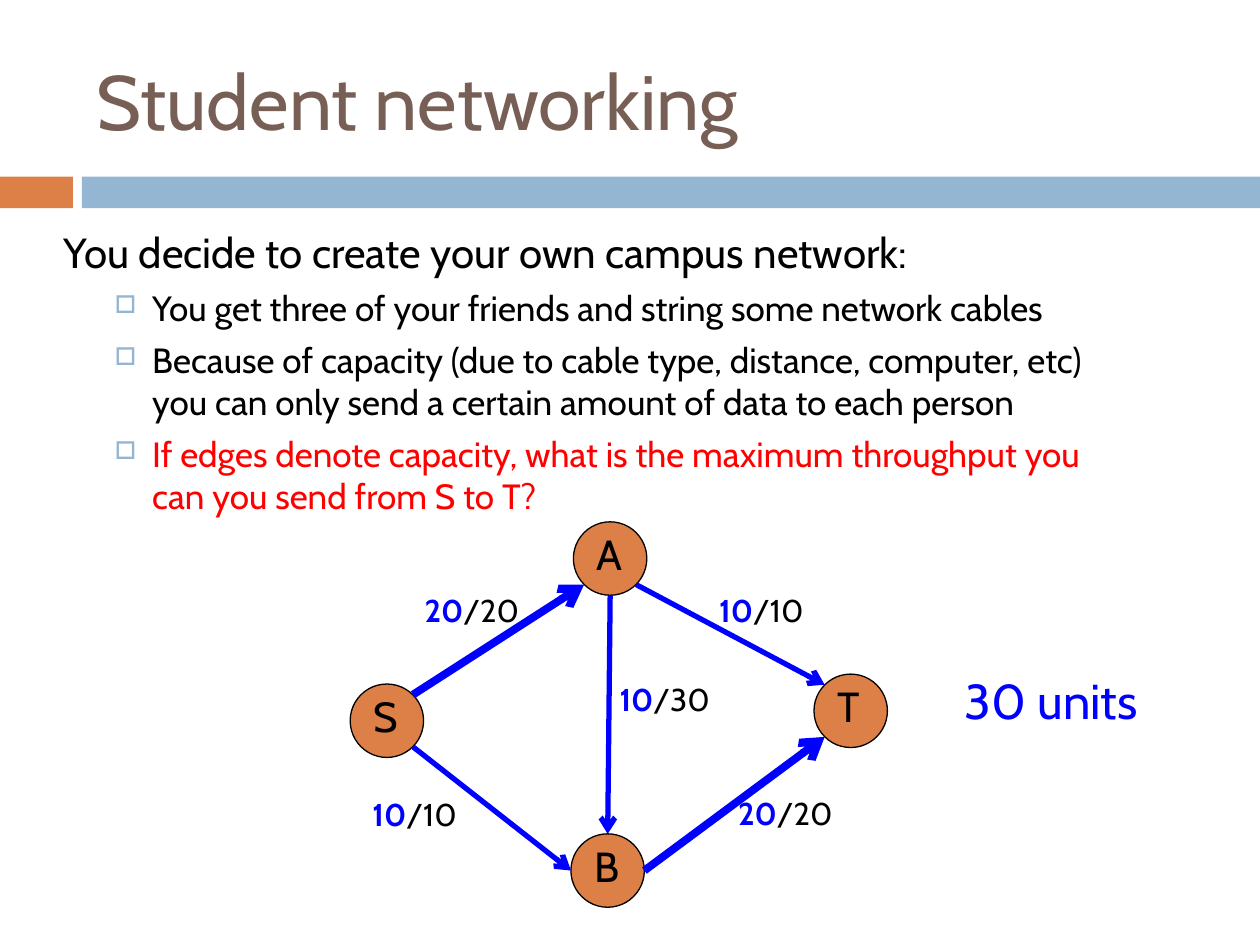
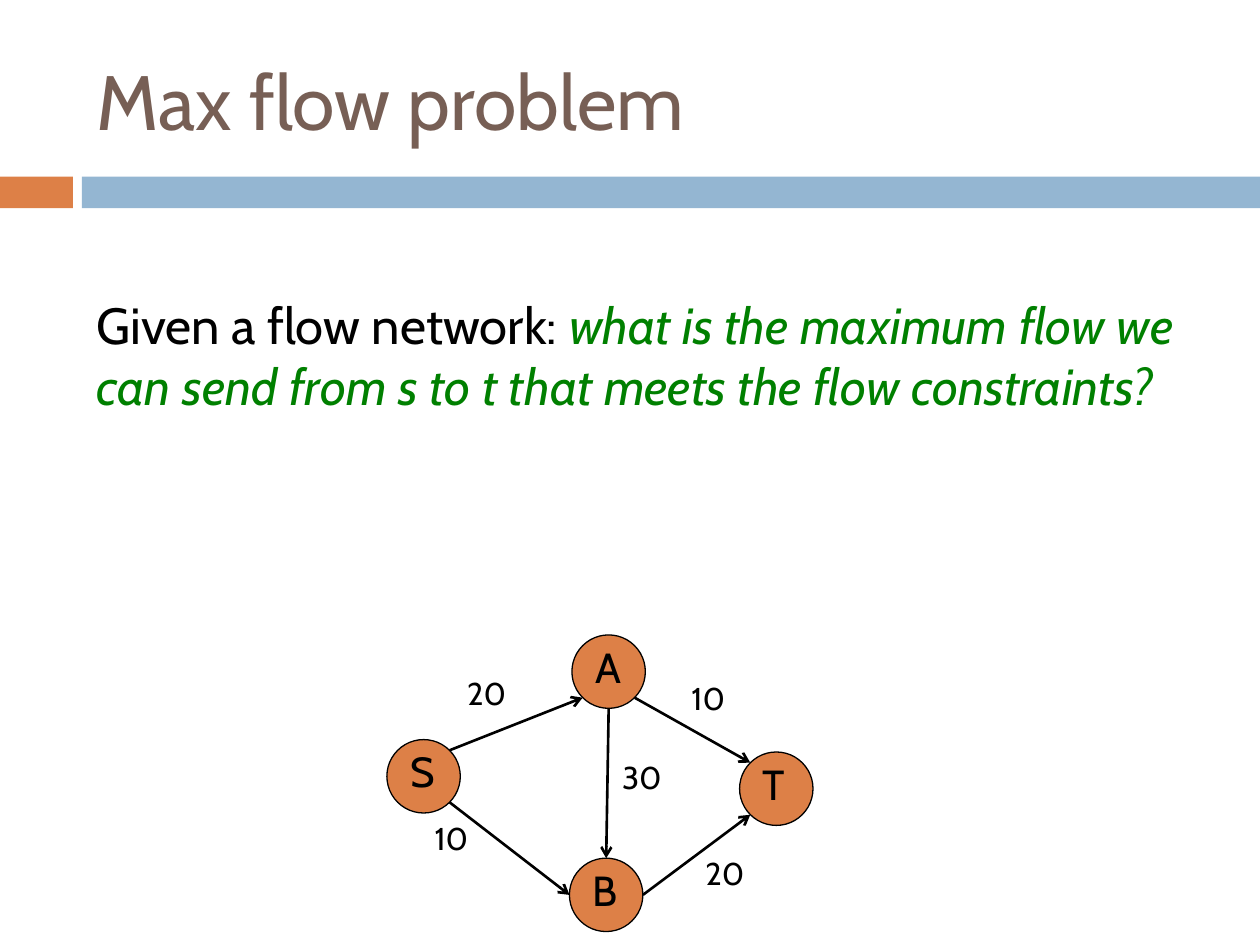
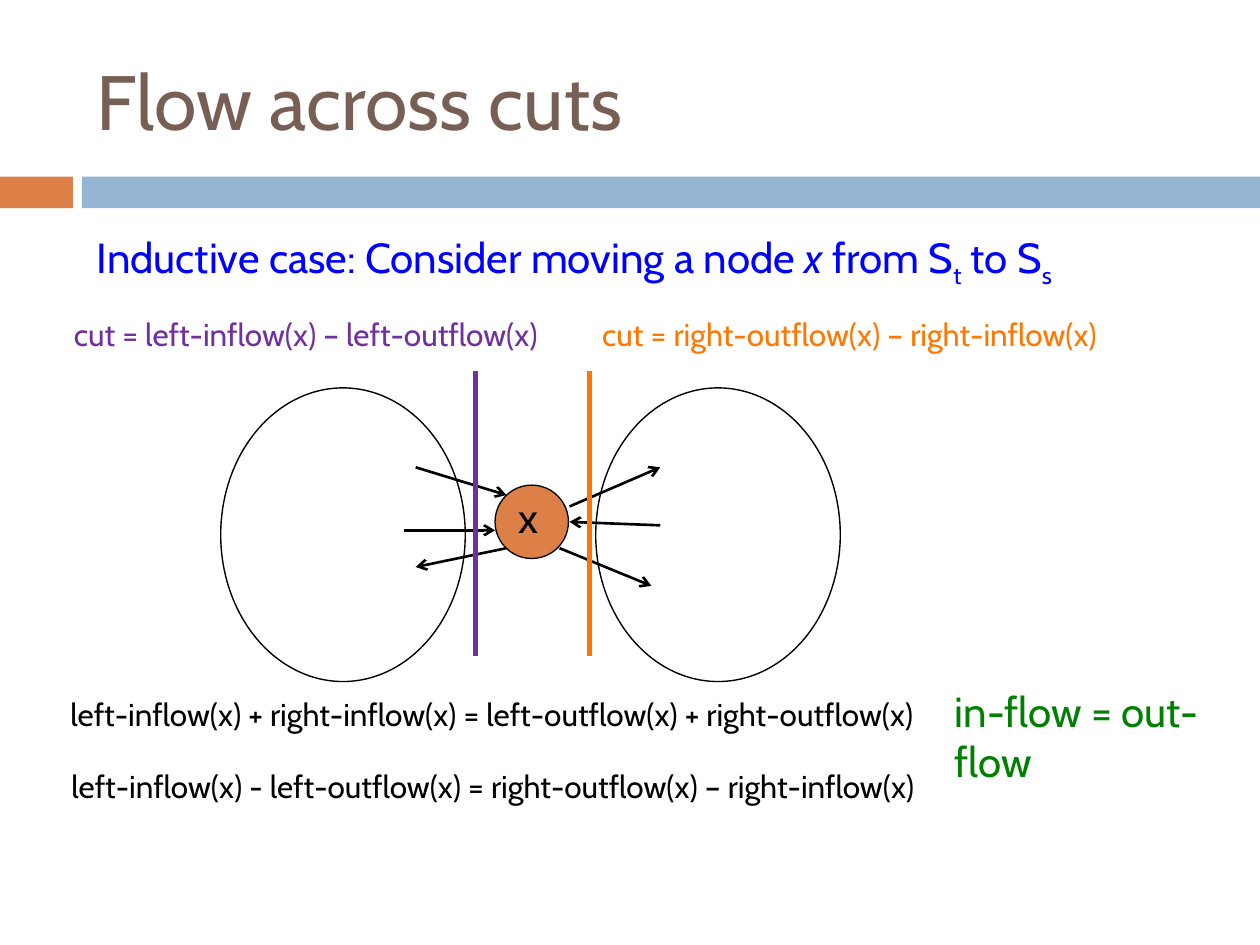
from dataclasses import dataclass

from lxml.etree import SubElement as Sub
from pptx import Presentation
from pptx.dml.color import RGBColor
from pptx.enum.shapes import MSO_CONNECTOR as Link, MSO_SHAPE as Kind
from pptx.enum.text import MSO_ANCHOR as Anchor
from pptx.oxml.ns import qn
from pptx.util import Cm, Pt


@dataclass(frozen=True)
class Theme:
    font: str = "Cabin"
    # Colours
    black: str = "000000"
    brown: str = "775F55"
    rust: str = "DD8047"
    sky: str = "94B6D2"
    blue: str = "0000FF"
    red: str = "FF0000"
    green: str = "008000"
    purple: str = "7030A0"
    orange: str = "FF7600"
    # Type sizes in points
    title: int = 44
    lead: int = 29
    answer: int = 28
    head: int = 24
    item: int = 20
    label: int = 18


# Node size, and the ports of each edge as directions from a node's centre
NODE = 1.48
DIAG = 0.71
EDGES = {
    "SA": ((DIAG, -DIAG), (-DIAG, DIAG)),
    "SB": ((DIAG, DIAG), (-1, 0)),
    "BT": ((1, 0), (-DIAG, DIAG)),
    "AB": ((0, 1), (0, -1)),
    "AT": ((DIAG, DIAG), (-DIAG, -DIAG)),
}
CAPS = {"SA": 20, "SB": 10, "BT": 20, "AB": 30, "AT": 10}


def write(par, text, *, size, color, bold=False, italic=False, base=0):
    """Add one formatted run to a paragraph."""
    run = par.add_run()
    run.text = text
    font = run.font
    font.name, font.size = Theme.font, Pt(size)
    font.bold, font.italic = bold, italic
    font.color.rgb = RGBColor.from_string(color)
    if base:
        run._r.get_or_add_rPr().set("baseline", str(base * 1000))


def port(spot, way):
    """Point on a node's rim in the given direction."""
    return tuple(p + NODE / 2 * (1 + w) for p, w in zip(spot, way))


class Deck:
    def __init__(self, theme):
        self.theme = theme
        self.show = Presentation()
        self.show.slide_width, self.show.slide_height = Cm(25.4), Cm(19.05)
        self.page = None

    def slide(self, title):
        t = self.theme
        self.page = self.show.slides.add_slide(self.show.slide_layouts[6])
        self.shape(Kind.RECTANGLE, (0, 3.56, 1.47, 0.64), fill=t.rust)
        self.shape(Kind.RECTANGLE, (1.65, 3.56, 23.75, 0.64), fill=t.sky)
        self.text((1.7, 0.64, 22.66, 2.74), title, anchor=Anchor.MIDDLE,
                  size=t.title, color=t.brown)

    def shape(self, kind, box, fill=None, line=None, width=0.75, home=None):
        item = (home or self.page).shapes.add_shape(kind, *map(Cm, box))
        item.shadow.inherit = False
        if fill:
            item.fill.solid()
            item.fill.fore_color.rgb = RGBColor.from_string(fill)
        else:
            item.fill.background()
        if line:
            item.line.color.rgb = RGBColor.from_string(line)
            item.line.width = Pt(width)
        else:
            item.line.fill.background()

    def text(self, box, *parts, anchor=Anchor.TOP, home=None, **form):
        """Each part is a string, or a string with its own format."""
        frame = (home or self.page).shapes.add_textbox(*map(Cm, box)).text_frame
        frame.word_wrap = True
        frame.vertical_anchor = anchor
        for part in parts:
            words, own = (part, {}) if isinstance(part, str) else part
            write(frame.paragraphs[0], words, **(form | own))
        return frame

    def bullet(self, frame, text, color):
        par = frame.add_paragraph()
        props = par._p.get_or_add_pPr()
        props.set("marL", str(Cm(1.78)))
        props.set("indent", str(Cm(-0.76)))
        tint = Sub(props, qn("a:buClr"))
        Sub(tint, qn("a:srgbClr"), val=self.theme.sky)
        Sub(props, qn("a:buSzPct"), val="70000")
        Sub(props, qn("a:buChar"), char="□")
        par.space_before = Pt(5.5)
        write(par, text, size=self.theme.item, color=color)

    def line(self, start, end, color, width, arrow=True):
        item = self.page.shapes.add_connector(
            Link.STRAIGHT, *map(Cm, (*start, *end)))
        item.line.color.rgb = RGBColor.from_string(color)
        item.line.width = Pt(width)
        if arrow:
            Sub(item.line._get_or_add_ln(), qn("a:tailEnd"), type="arrow")
        Sub(item._element.spPr, qn("a:effectLst"))

    def node(self, name, spot):
        t, (x, y) = self.theme, spot
        group = self.page.shapes.add_group_shape()
        self.shape(Kind.OVAL, (x, y, NODE, NODE), fill=t.rust, line=t.black,
                   home=group)
        self.text((x + 0.22, y, 1.27, 1.27), name, home=group,
                  size=t.head, color=t.black)

    def graph(self, nodes, labels, flows=None):
        """Draw the network; flows thicken the edges and lead the labels."""
        t = self.theme
        for name, spot in nodes.items():
            self.node(name, spot)
        for edge, (out, into) in EDGES.items():
            color, width = t.black, 1.5
            if flows:
                color, width = t.blue, 4.5 if flows[edge] == 20 else 3
            self.line(port(nodes[edge[0]], out), port(nodes[edge[1]], into),
                      color, width)
        for edge, (x, y, wide) in labels.items():
            parts = [str(CAPS[edge])]
            if flows:
                parts = [(str(flows[edge]), {"color": t.blue, "bold": True}),
                         f"/{CAPS[edge]}"]
            self.text((x, y, wide, 1.02), *parts, size=t.label, color=t.black)


def main():
    t = Theme()
    deck = Deck(t)

    # Student networking
    deck.slide("Student networking")
    deck.graph(
        {"S": (7.06, 13.79), "A": (11.56, 10.52),
         "B": (11.51, 16.81), "T": (16.41, 13.59)},
        {"SA": (8.31, 11.79, 2.77), "BT": (14.63, 15.88, 3.28),
         "SB": (7.26, 15.9, 3.18), "AT": (14.25, 11.79, 2.82),
         "AB": (12.24, 13.59, 2.39)},
        flows={"SA": 20, "SB": 10, "BT": 20, "AB": 10, "AT": 10})
    deck.text((19.2, 13.39, 4.65, 1.45), "30 units",
              size=t.answer, color=t.blue)
    body = deck.text((1.04, 4.45, 21.67, 6.53),
                     "You decide to create your own campus network:",
                     size=t.head, color=t.black)
    for text, color in (
        ("You get three of your friends and string some network cables",
         t.black),
        ("Because of capacity (due to cable type, distance, computer, etc) "
         "you can only send a certain amount of data to each person", t.black),
        ("If edges denote capacity, what is the maximum throughput you "
         "can you send from S to T?", t.red),
    ):
        deck.bullet(body, text, color)

    # Max flow problem
    deck.slide("Max flow problem")
    deck.text((1.7, 5.79, 22.66, 6.17), "Given a flow network: ",
              ("what is the maximum flow we can send from s to t that meets "
               "the flow constraints?", {"color": t.green, "italic": True}),
              size=t.lead, color=t.black)
    deck.graph(
        {"S": (7.8, 14.91), "A": (11.53, 12.8),
         "B": (11.48, 17.3), "T": (14.91, 15.16)},
        {"SA": (9.17, 13.46, 1.9), "BT": (13.97, 17.09, 1.9),
         "SB": (8.51, 16.38, 1.9), "AT": (13.69, 13.56, 1.9),
         "AB": (12.29, 15.16, 1.9)})

    # Flow across cuts: the two sides, the moved node and its flows
    deck.slide("Flow across cuts")
    for x in (4.45, 12.01):
        deck.shape(Kind.OVAL, (x, 7.82, 4.93, 5.92), line=t.black, width=0.79)
    deck.node("x", (9.98, 9.78))
    for start, end in (
        ((8.38, 9.42), (10.21, 9.98)),
        ((8.15, 10.69), (9.98, 10.69)),
        ((10.21, 11.05), (8.38, 11.43)),
        ((11.48, 10.21), (13.31, 9.42)),
        ((13.31, 10.59), (11.48, 10.52)),
        ((11.28, 11.05), (13.13, 11.81)),
    ):
        deck.line(start, end, t.black, 1.5)

    # Cuts and equations
    for x, color in ((9.58, t.purple), (11.89, t.orange)):
        deck.line((x, 7.47), (x, 13.23), color, 3, arrow=False)
    deck.text((19, 13.69, 6.35, 1.27), "in-flow = out-flow",
              size=t.head, color=t.green)
    for x, y, wide, text, color in (
        (1.24, 6.22, 10.24, "cut = left-inflow(x) – left-outflow(x)",
         t.purple),
        (11.89, 6.22, 13.4, "cut = right-outflow(x) – right-inflow(x)",
         t.orange),
        (1.17, 13.89, 18.95, "left-inflow(x) + right-inflow(x) = "
         "left-outflow(x) + right-outflow(x)", t.black),
        (1.19, 15.34, 18.95, "left-inflow(x) - left-outflow(x) = "
         "right-outflow(x) – right-inflow(x)", t.black),
    ):
        deck.text((x, y, wide, 1.02), text, size=t.label, color=color)
    low = {"base": -25}
    deck.text((1.7, 4.55, 22.28, 1.27),
              "Inductive case: Consider moving a node ",
              ("x", {"italic": True}), " from S", ("t", low),
              " to S", ("s", low), size=t.head, color=t.blue)

    deck.show.save("out.pptx")


if __name__ == "__main__":
    main()
